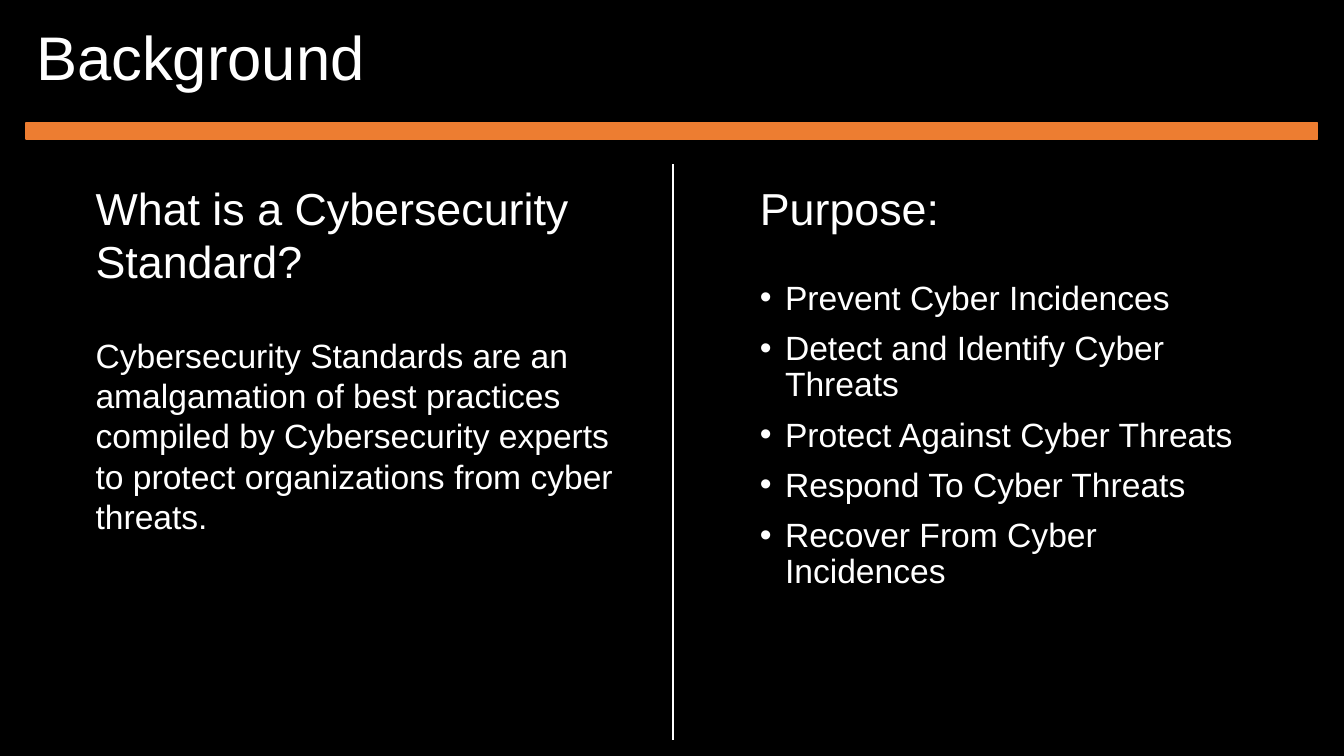
import pptx
import pptx.util
import pptx.dml.color
import pptx.enum.shapes
import pptx.enum.text
import pptx.oxml
from dataclasses import dataclass
from lxml import etree

Pt = pptx.util.Pt
RGB = pptx.dml.color.RGBColor
Anchor = pptx.enum.text.MSO_ANCHOR
Kind = pptx.enum.shapes


@dataclass(frozen=True)
class Theme:
    font: str = "Arial"
    back: RGB = RGB(0x00, 0x00, 0x00)
    ink: RGB = RGB(0xFF, 0xFF, 0xFF)
    accent: RGB = RGB(0xED, 0x7D, 0x31)
    title: int = 44
    head: int = 32
    body: int = 24


THEME = Theme()

# Shared edges of the layout, in points
EDGE = 18.72
LEFT = 61.2
RIGHT = 535.68
TOP = 125.28

GOALS = [
    "Prevent Cyber Incidences",
    "Detect and Identify Cyber Threats",
    "Protect Against Cyber Threats",
    "Respond To Cyber Threats",
    "Recover From Cyber Incidences",
]


def add_mark(para, indent):
    """Give a paragraph a hanging round bullet."""
    props = para._p.get_or_add_pPr()
    props.set("marL", str(Pt(indent)))
    props.set("indent", str(-Pt(indent)))
    font = etree.SubElement(props, pptx.oxml.ns.qn("a:buFont"))
    font.set("typeface", THEME.font)
    mark = etree.SubElement(props, pptx.oxml.ns.qn("a:buChar"))
    mark.set("char", "•")


def add_text(slide, box, lines, size, anchor=Anchor.TOP, wrap=True,
             pitch=None, gap=0, mark=False):
    shape = slide.shapes.add_textbox(*map(Pt, box))
    frame = shape.text_frame
    frame.word_wrap = wrap
    frame.vertical_anchor = anchor
    for i, line in enumerate(lines):
        para = frame.add_paragraph() if i else frame.paragraphs[0]
        if mark:
            add_mark(para, 18)
        if pitch:
            para.line_spacing = pitch
        if i and gap:
            para.space_before = Pt(gap)
        run = para.add_run()
        run.text = line
        run.font.name = THEME.font
        run.font.size = Pt(size)
        run.font.color.rgb = THEME.ink


def add_bar(slide, box):
    bar = slide.shapes.add_shape(Kind.MSO_SHAPE.RECTANGLE, *map(Pt, box))
    bar.shadow.inherit = False
    bar.fill.solid()
    bar.fill.fore_color.rgb = THEME.accent
    bar.line.color.rgb = THEME.accent
    bar.line.width = Pt(1)


def add_rule(slide, x, top, end):
    rule = slide.shapes.add_connector(
        Kind.MSO_CONNECTOR.STRAIGHT, Pt(x), Pt(top), Pt(x), Pt(end))
    rule.line.color.rgb = THEME.ink
    rule.line.width = Pt(1.25)
    etree.SubElement(rule._element.spPr, pptx.oxml.ns.qn("a:effectLst"))


def main():
    deck = pptx.Presentation()
    deck.slide_width = Pt(960)
    deck.slide_height = Pt(540)
    slide = deck.slides.add_slide(deck.slide_layouts[6])
    slide.background.fill.solid()
    slide.background.fill.fore_color.rgb = THEME.back

    # Title band
    add_text(slide, (EDGE, 17.28, 341.28, 51.84), ["Background"],
             THEME.title, anchor=Anchor.MIDDLE, pitch=0.9)
    add_bar(slide, (EDGE, 87.84, 922.32, 11.52))

    # Left column: definition
    add_text(slide, (LEFT, TOP, 365.76, 84.96),
             ["What is a Cybersecurity Standard?"], THEME.head)
    add_text(slide, (LEFT, 235.44, 388.8, 152.64),
             ["Cybersecurity Standards are an amalgamation of best practices "
              "compiled by Cybersecurity experts to protect organizations "
              "from cyber threats."], THEME.body)

    # Divider
    add_rule(slide, 480.96, 117.36, 528.48)

    # Right column: goals
    add_text(slide, (RIGHT, TOP, 144, 46.08), ["Purpose:"], THEME.head,
             wrap=False)
    add_text(slide, (RIGHT, 197.28, 374.4, 263.52), GOALS, THEME.body,
             pitch=0.9, gap=10, mark=True)

    deck.save("out.pptx")


if __name__ == "__main__":
    main()
